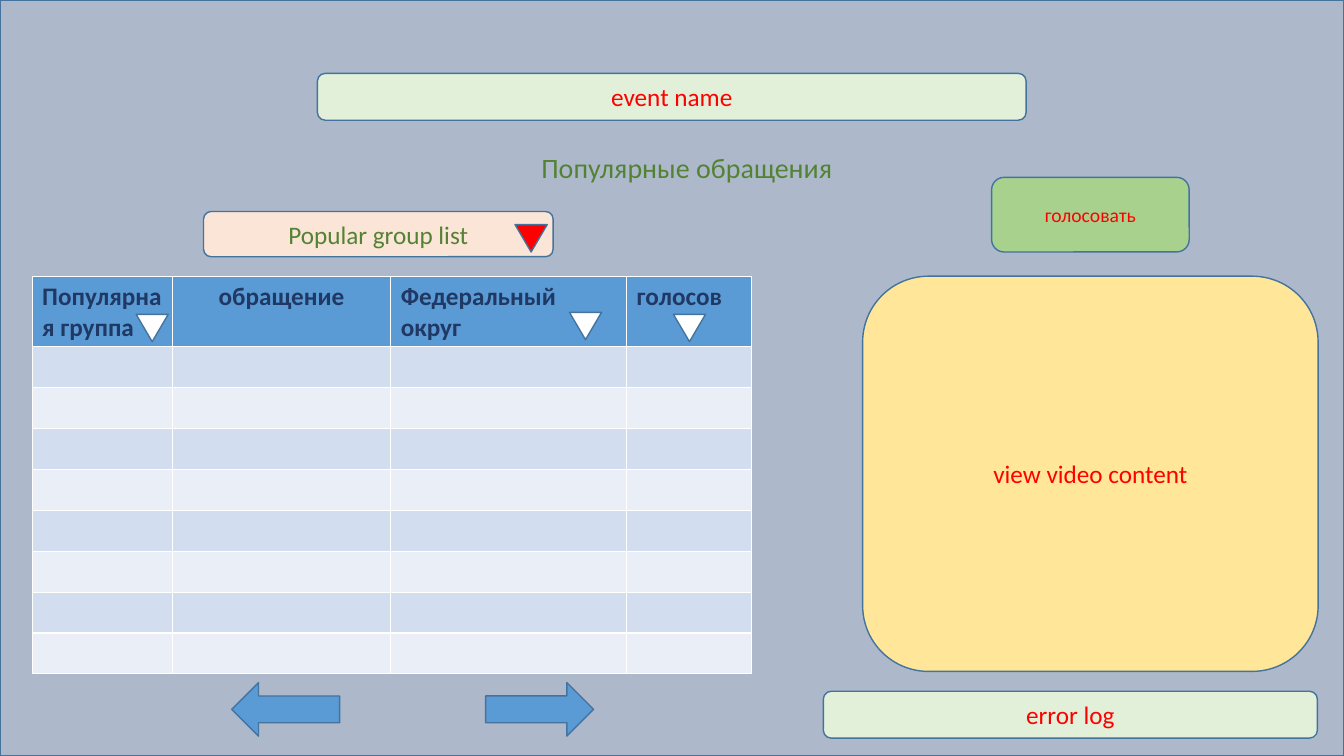
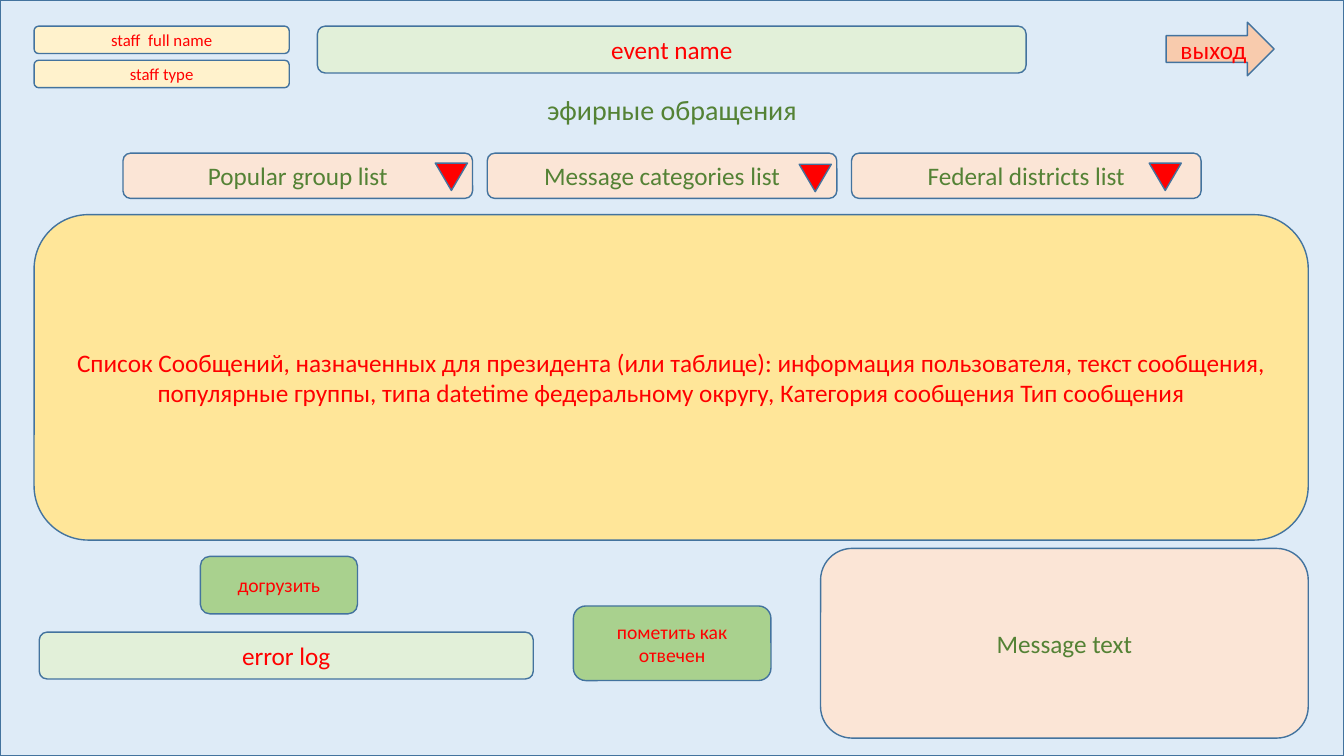
from pptx import Presentation, util as u
from pptx.dml.color import RGBColor
from pptx.enum import shapes, text

OUTLINE, RED, GREEN, WHITE = "43739E", "FF0000", "548235", "FFFFFF"
MINT, PEACH, SAND, BUTTON, BLUE = "E2F0D9", "FBE5D6", "FFE699", "A9D18E", "5B9BD5"
FONT = "Calibri"
RECT = shapes.MSO_SHAPE.RECTANGLE
ROUND = shapes.MSO_SHAPE.ROUNDED_RECTANGLE
TRIANGLE = shapes.MSO_SHAPE.ISOSCELES_TRIANGLE
ARROW = shapes.MSO_SHAPE.RIGHT_ARROW
MARKER = (0.81, 0.69)
ARROW_SIZE = (2.72, 1.35)
LIST_SIZE = (8.81, 1.14)
BUTTON_SIZE = (4.98, 1.88)


def write(frame, words, size, color, bold=False, align=text.PP_ALIGN.CENTER):
    frame.word_wrap = True
    line = frame.paragraphs[0]
    line.text = words
    line.alignment = align
    line.font.name = FONT
    line.font.size = u.Pt(size)
    line.font.bold = bold
    line.font.color.rgb = RGBColor.from_string(color)


def draw(slide, kind, place, size, fill, words="", points=18, color=RED, turn=0):
    part = slide.shapes.add_shape(kind, *map(u.Cm, place + size))
    part.shadow.inherit = False
    part.fill.solid()
    part.fill.fore_color.rgb = RGBColor.from_string(fill)
    part.line.color.rgb = RGBColor.from_string(OUTLINE)
    part.line.width = u.Pt(1)
    part.rotation = turn
    if words:
        part.text_frame.vertical_anchor = text.MSO_ANCHOR.MIDDLE
        write(part.text_frame, words, points, color)


deck = Presentation()
deck.slide_width, deck.slide_height = u.Cm(33.87), u.Cm(19.05)

screens = []
for backdrop, event_top, heading, heading_box, log_place in [
    ("ADB9CA", 1.85, "Популярные обращения", (13.26, 3.66, 8.1, 1.11), (20.75, 17.42)),
    ("DEEBF7", 0.66, "эфирные обращения", (12.34, 2.21, 9.19, 1.11), (0.99, 15.93)),
]:
    screen = deck.slides.add_slide(deck.slide_layouts[6])
    draw(screen, RECT, (0, 0), (33.87, 19.05), backdrop)
    draw(screen, ROUND, (8, event_top), (17.86, 1.18), MINT, "event name")
    heading_frame = screen.shapes.add_textbox(*map(u.Cm, heading_box)).text_frame
    write(heading_frame, heading, 20, GREEN)
    draw(screen, ROUND, log_place, (12.45, 1.18), MINT, "error log")
    screens.append(screen)
popular, on_air = screens

draw(popular, ROUND, (5.13, 5.33), LIST_SIZE, PEACH, "Popular group list", color=GREEN)
draw(popular, TRIANGLE, (12.98, 5.66), MARKER, RED, turn=180)

appeals = popular.shapes.add_table(9, 4, *map(u.Cm, (0.81, 6.96, 18.13, 10.02))).table
for column, width in zip(appeals.columns, (3.53, 5.51, 5.94, 3.15)):
    column.width = u.Cm(width)
for index, row in enumerate(appeals.rows):
    row.height = u.Cm(1.03 if index else 1.78)
    for cell in row.cells:
        cell.fill.solid()
        band = ("EAEFF7", "D2DEEF")[index % 2] if index else BLUE
        cell.fill.fore_color.rgb = RGBColor.from_string(band)
for column, (label, align) in enumerate([
    ("Популярная группа", text.PP_ALIGN.LEFT),
    ("обращение", text.PP_ALIGN.CENTER),
    ("Федеральный округ", text.PP_ALIGN.LEFT),
    ("голосов", text.PP_ALIGN.LEFT),
]):
    write(appeals.cell(0, column).text_frame, label, 18, "203864", True, align)

for left, turn in [(12.24, 0), (5.84, 180)]:
    draw(popular, ARROW, (left, 17.2), ARROW_SIZE, BLUE, turn=turn)
for sorter in [(3.43, 7.92), (16.97, 7.92), (14.35, 7.87)]:
    draw(popular, TRIANGLE, sorter, MARKER, WHITE, turn=180)
draw(popular, ROUND, (21.74, 6.96), (11.48, 9.96), SAND, "view video content")
draw(popular, ROUND, (24.99, 4.47), BUTTON_SIZE, BUTTON, "голосовать", 14)

draw(on_air, ROUND, (0.86, 5.41), (32.11, 8.2), SAND,
     "Список Сообщений, назначенных для президента (или таблице): "
     "информация пользователя, текст сообщения, популярные группы, "
     "типа datetime федеральному округу, Категория сообщения Тип сообщения")
draw(on_air, ROUND, (14.45, 15.27), BUTTON_SIZE, BUTTON, "пометить как отвечен", 14)
for top, staff in [(0.66, "staff  full name"), (1.52, "staff type")]:
    draw(on_air, ROUND, (0.86, top), (6.43, 0.69), "FFF2CC", staff, 12)
for index, (choice, marker) in enumerate([
    ("Popular group list", (10.97, 4.11)),
    ("Message categories list", (20.14, 4.14)),
    ("Federal districts list", (28.96, 4.11)),
]):
    draw(on_air, ROUND, (3.1 + 9.18 * index, 3.86), LIST_SIZE, PEACH, choice, color=GREEN)
    draw(on_air, TRIANGLE, marker, MARKER, RED, turn=180)
draw(on_air, ARROW, (29.39, 0.56), ARROW_SIZE, "F8CBAD", "выход")
draw(on_air, ROUND, (20.68, 13.82), (12.29, 4.78), PEACH, "Message text", color=GREEN)
draw(on_air, ROUND, (5.05, 14.02), (3.96, 1.45), BUTTON, "догрузить", 14)

deck.save("out.pptx")
